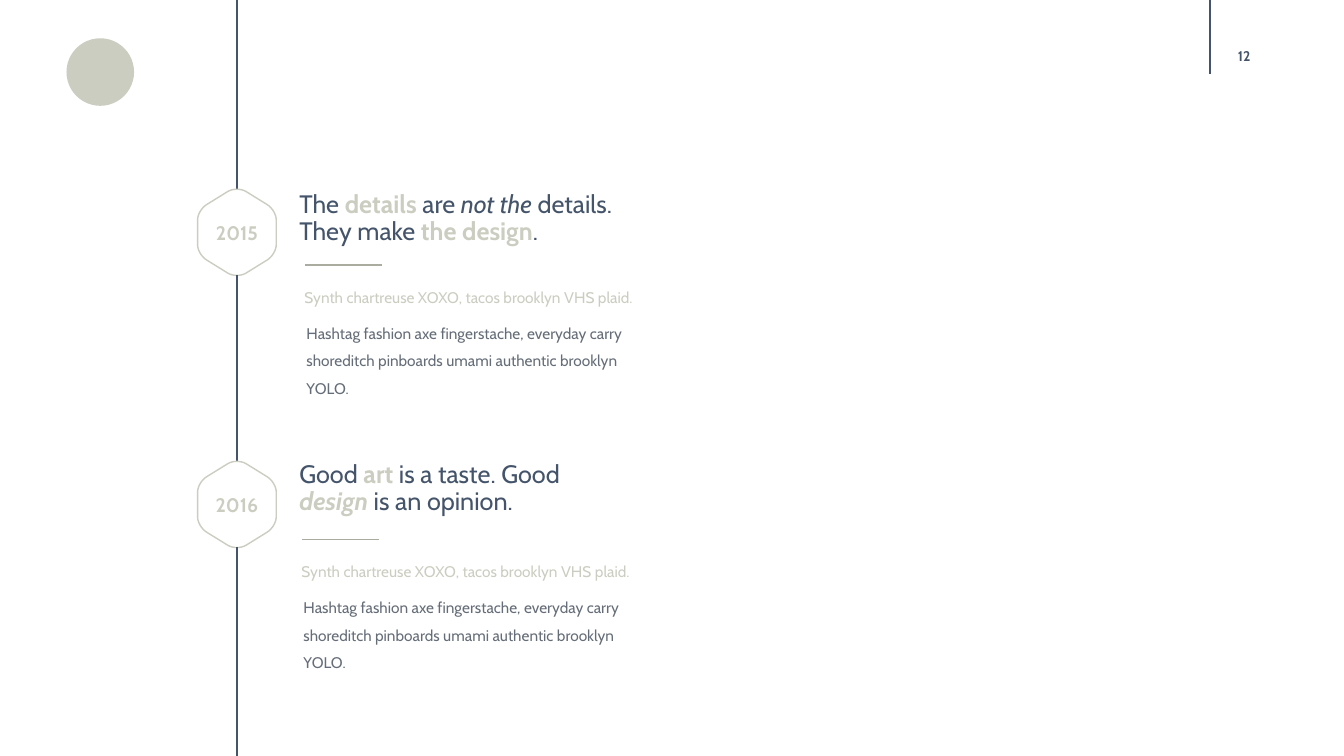
from dataclasses import dataclass

from lxml.etree import SubElement
from pptx import Presentation
from pptx.dml.color import RGBColor
from pptx.enum.shapes import MSO_CONNECTOR, MSO_SHAPE
from pptx.enum.text import MSO_ANCHOR, MSO_AUTO_SIZE, PP_ALIGN
from pptx.oxml.ns import qn
from pptx.shapes.base import BaseShape
from pptx.slide import Slide
from pptx.text.text import TextFrame
from pptx.util import Emu, Pt

EMU_PER_PX = 9144
SLIDE_WIDTH, SLIDE_HEIGHT = 1333, 750
FONT = "Cabin"
NAVY, SAGE, OLIVE, GRAY = "44546A", "CBCDC0", "AAAC9F", "656D78"
AXIS = 235
HEXAGON_LEFT, HEXAGON_HEIGHT = 196, 85
UPPER_CORNERS = (
    ((0, 30), (0, 25), (4, 18), (9, 15)),
    ((30, 2), (35, -1), (43, -1), (48, 2)),
    ((69, 15), (74, 18), (78, 25), (78, 30)),
)
CURVE_STEPS = 8

Point = tuple[float, float]


@dataclass(frozen=True)
class Span:
    text: str
    color: str = NAVY
    bold: bool = False
    italic: bool = False


@dataclass(frozen=True)
class Milestone:
    year: str
    hexagon_top: int
    title_top: int
    title_width: int
    detail_left: int
    detail_top: int
    title: tuple[Span, ...]


MILESTONES = (
    Milestone("2015", 188, 185, 382, 303, 263, (
        Span("The "), Span("details ", SAGE, bold=True), Span("are "),
        Span("not the ", italic=True), Span("details. They make "),
        Span("the design", SAGE, bold=True), Span("."),
    )),
    Milestone("2016", 458, 453, 337, 300, 535, (
        Span("Good "), Span("art ", SAGE, bold=True), Span("is a taste. Good "),
        Span("design ", SAGE, bold=True, italic=True), Span("is an opinion."),
    )),
)
TEASER = "Synth chartreuse XOXO, tacos brooklyn VHS plaid."
BODY = ("Hashtag fashion axe fingerstache, everyday carry shoreditch "
        "pinboards umami authentic brooklyn YOLO.")


def px(value: float) -> Emu:
    """Turn pixels into EMU."""
    return Emu(round(value * EMU_PER_PX))


def rgb(color: str) -> RGBColor:
    """Turn a hex string into a colour."""
    return RGBColor.from_string(color)


def draw_line(page: Slide, start: Point, end: Point, color: str) -> None:
    """Draw a straight one-point line without a shadow."""
    line = page.shapes.add_connector(
        MSO_CONNECTOR.STRAIGHT, px(start[0]), px(start[1]), px(end[0]), px(end[1]))
    line.line.color.rgb = rgb(color)
    line.line.width = Pt(1)
    SubElement(line._element.spPr, qn("a:effectLst"))


def clear_margins(frame: TextFrame) -> None:
    """Remove the insets of a text frame."""
    frame.margin_left = frame.margin_top = frame.margin_right = frame.margin_bottom = 0


def write_spans(frame: TextFrame, spans: tuple[Span, ...], size: int,
                spacing: float = 1.0, align: PP_ALIGN = PP_ALIGN.LEFT) -> None:
    """Write formatted spans into the first paragraph."""
    frame.word_wrap = True
    para = frame.paragraphs[0]
    para.alignment = align
    para.line_spacing = spacing
    for span in spans:
        run = para.add_run()
        run.text = span.text
        run.font.name = FONT
        run.font.size = Pt(size)
        run.font.bold = span.bold
        run.font.italic = span.italic
        run.font.color.rgb = rgb(span.color)


def add_box(page: Slide, left: int, top: int, width: int, height: int) -> TextFrame:
    """Add a text box and return its frame."""
    return page.shapes.add_textbox(px(left), px(top), px(width), px(height)).text_frame


def curve_points(corner: tuple[Point, ...]) -> list[Point]:
    """Sample a cubic curve from its four control points."""
    points = []
    for step in range(CURVE_STEPS + 1):
        t = step / CURVE_STEPS
        weights = ((1 - t) ** 3, 3 * t * (1 - t) ** 2, 3 * t ** 2 * (1 - t), t ** 3)
        points.append((sum(w * x for w, (x, _) in zip(weights, corner)),
                       sum(w * y for w, (_, y) in zip(weights, corner))))
    return points


def draw_hexagon(page: Slide, top: int) -> BaseShape:
    """Draw a rounded hexagon outline centred on the axis."""
    upper = [point for corner in UPPER_CORNERS for point in curve_points(corner)]
    lower = [(x, HEXAGON_HEIGHT - y) for x, y in reversed(upper)]
    outline = [(px(HEXAGON_LEFT + x), px(top + y)) for x, y in upper + lower]
    builder = page.shapes.build_freeform(*outline[0])
    builder.add_line_segments(outline[1:], close=True)
    hexagon = builder.convert_to_shape()
    hexagon.shadow.inherit = False
    hexagon.fill.background()
    hexagon.line.color.rgb = rgb(SAGE)
    hexagon.line.width = Pt(1)
    return hexagon


def draw_milestone(page: Slide, item: Milestone) -> None:
    """Draw the year, title, rule and texts of a milestone."""
    year = draw_hexagon(page, item.hexagon_top).text_frame
    clear_margins(year)
    year.vertical_anchor = MSO_ANCHOR.MIDDLE
    write_spans(year, (Span(item.year, SAGE, bold=True),), 14, align=PP_ALIGN.CENTER)

    title = add_box(page, 287, item.title_top, item.title_width, 65)
    title.auto_size = MSO_AUTO_SIZE.SHAPE_TO_FIT_TEXT
    write_spans(title, item.title, 18, 0.9)

    left, top = item.detail_left, item.detail_top
    draw_line(page, (left, top), (left + 76, top), OLIVE)
    teaser = add_box(page, left - 1, top + 17, 336, 35)
    clear_margins(teaser)
    write_spans(teaser, (Span(TEASER, SAGE),), 11, 1.3)
    body = add_box(page, left + 1, top + 49, 334, 65)
    clear_margins(body)
    write_spans(body, (Span(BODY, GRAY),), 11, 1.5)


def draw_header(page: Slide) -> None:
    """Draw the round emblem and the page number."""
    emblem = page.shapes.add_shape(MSO_SHAPE.OVAL, px(66), px(38), px(67), px(67))
    emblem.shadow.inherit = False
    emblem.fill.solid()
    emblem.fill.fore_color.rgb = rgb(SAGE)
    emblem.line.fill.background()

    draw_line(page, (1200, 0), (1200, 73), NAVY)
    number = add_box(page, 1194, 36, 80, 40)
    clear_margins(number)
    number.vertical_anchor = MSO_ANCHOR.MIDDLE
    write_spans(number, (Span("12", bold=True),), 10, align=PP_ALIGN.CENTER)


def main() -> None:
    """Build the timeline slide and save it."""
    deck = Presentation()
    deck.slide_width, deck.slide_height = px(SLIDE_WIDTH), px(SLIDE_HEIGHT)
    page = deck.slides.add_slide(deck.slide_layouts[6])
    start = 0
    for item in MILESTONES:
        draw_line(page, (AXIS, start), (AXIS, item.hexagon_top), NAVY)
        start = item.hexagon_top + HEXAGON_HEIGHT
        draw_milestone(page, item)
    draw_line(page, (AXIS, start), (AXIS, SLIDE_HEIGHT), NAVY)
    draw_header(page)
    deck.save("out.pptx")


if __name__ == "__main__":
    main()
